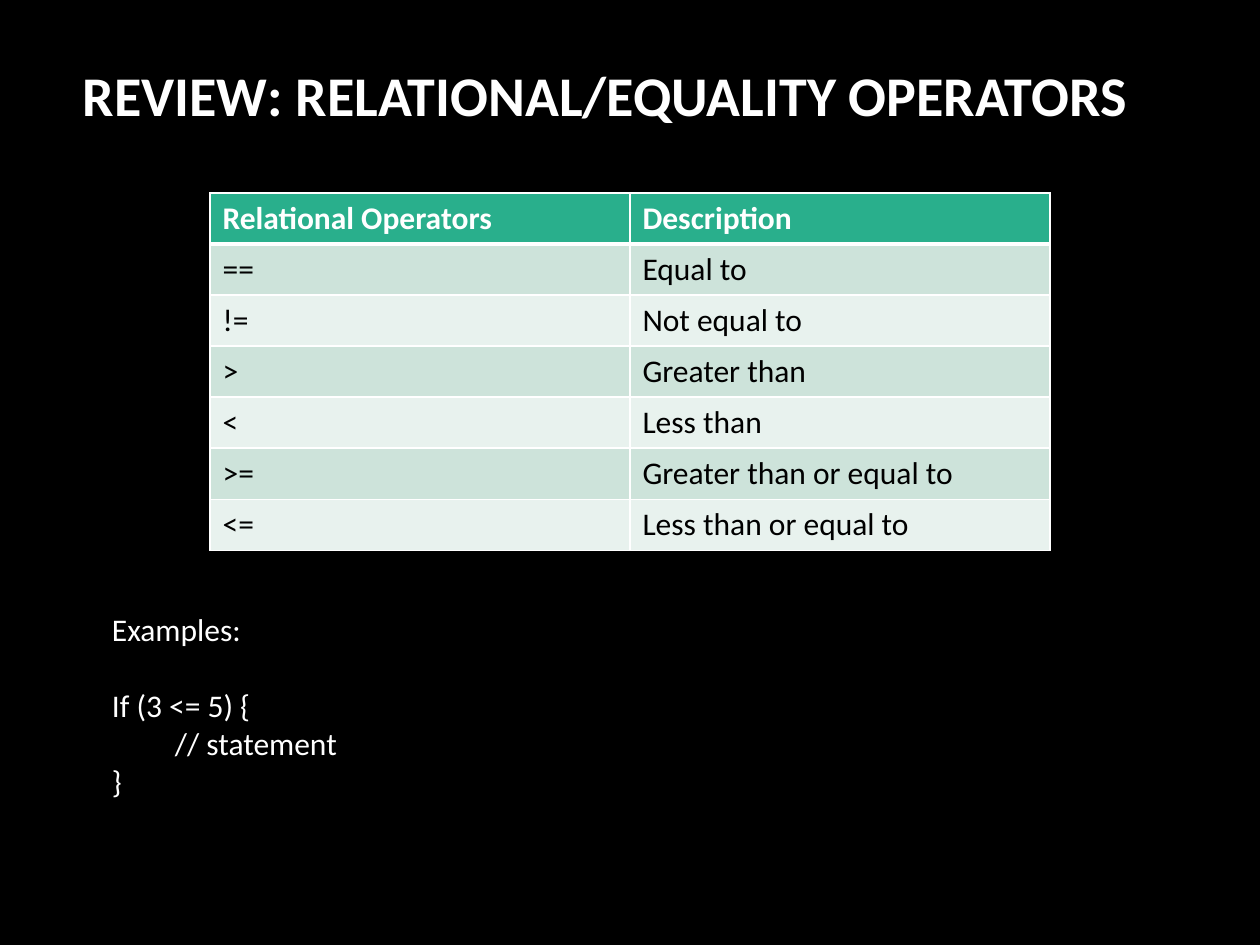
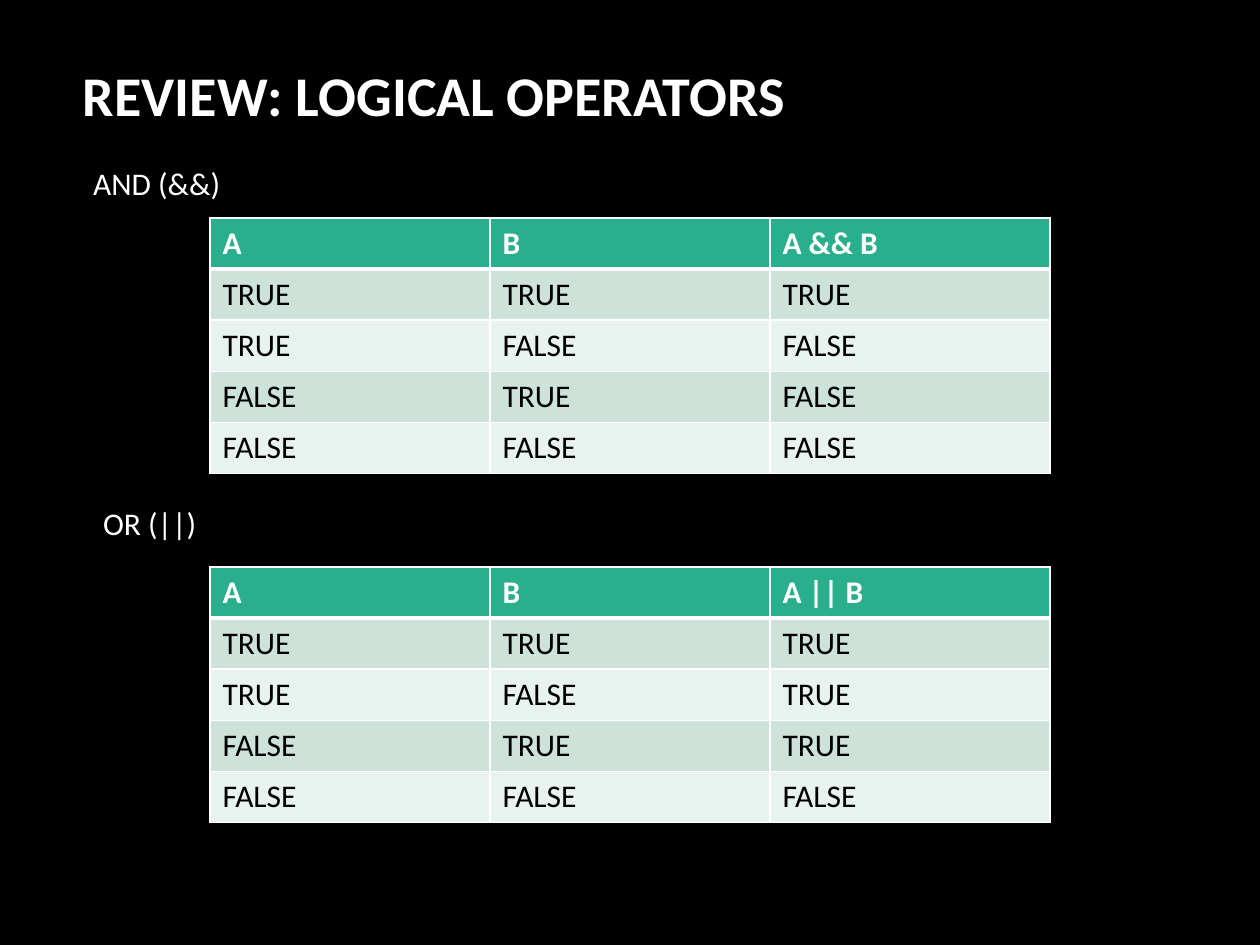
from lxml import etree
from pptx import Presentation
from pptx.dml.color import RGBColor
from pptx.enum.text import MSO_AUTO_SIZE
from pptx.oxml.ns import qn
from pptx.util import Inches, Pt

NO_RESIZE = MSO_AUTO_SIZE.NONE
FONT = "Calibri"
BODY_SIZE, TITLE_SIZE = 18, 32
COLORS = {
    "background": "000000",
    "light": "FFFFFF",
    "dark": "000000",
    "header": "29AF8C",
    "odd_row": "CDE3DA",
    "even_row": "E8F2EE",
}

prs = Presentation()
prs.slide_width, prs.slide_height = Inches(10), Inches(7.5)

# Grid: 12 columns; the tables span the middle 8
COLUMN = prs.slide_width / 12
TABLE_LEFT, TABLE_WIDTH = int(2 * COLUMN), int(8 * COLUMN)
ROW_HEIGHT = Pt(29.2)


def add_text(slide, lines, left, top, width, height, size=BODY_SIZE, bold=False):
    box = slide.shapes.add_textbox(*map(Inches, (left, top, width, height)))
    frame = box.text_frame
    frame.word_wrap = False
    frame.auto_size = NO_RESIZE
    frame.text = "\n".join(lines)
    for paragraph in frame.paragraphs:
        font = paragraph.font
        font.name, font.size, font.bold = FONT, Pt(size), bold
        font.color.rgb = RGBColor.from_string(COLORS["light"])
    return frame.paragraphs


def add_operator_table(slide, rows, top):
    columns = len(rows[0])
    table = slide.shapes.add_table(len(rows), columns, TABLE_LEFT, Inches(top),
                                   TABLE_WIDTH, ROW_HEIGHT * len(rows)).table
    for column in table.columns:
        column.width = TABLE_WIDTH // columns
    for r, values in enumerate(rows):
        table.rows[r].height = ROW_HEIGHT
        is_header = r == 0
        fill = "header" if is_header else "odd_row" if r % 2 else "even_row"
        # The rule under the header is thicker than the other borders
        borders = {"lnL": 1, "lnR": 1, "lnT": 3 if r == 1 else 1,
                   "lnB": 3 if is_header else 1}
        for c, value in enumerate(values):
            cell = table.cell(r, c)
            cell.text = value
            font = cell.text_frame.paragraphs[0].font
            font.name, font.size, font.bold = FONT, Pt(BODY_SIZE), is_header
            font.color.rgb = RGBColor.from_string(
                COLORS["light" if is_header else "dark"])
            properties = cell._tc.get_or_add_tcPr()
            for side, points in borders.items():
                line = etree.SubElement(properties, qn(f"a:{side}"), w=str(Pt(points)))
                solid = etree.SubElement(line, qn("a:solidFill"))
                etree.SubElement(solid, qn("a:srgbClr"), val=COLORS["light"])
            cell.fill.solid()
            cell.fill.fore_color.rgb = RGBColor.from_string(COLORS[fill])


# Slides with their shared background and title
slides = []
for title, title_width in [("REVIEW:\u00a0RELATIONAL/EQUALITY OPERATORS", 8.56),
                           ("REVIEW:\u00a0LOGICAL OPERATORS", 5.82)]:
    slide = prs.slides.add_slide(prs.slide_layouts[6])
    slide.background.fill.solid()
    slide.background.fill.fore_color.rgb = RGBColor.from_string(COLORS["background"])
    add_text(slide, [title], 0.56, 0.43, title_width, 0.64, TITLE_SIZE, True)
    slides.append(slide)
relational, logical = slides

# Relational operators
add_operator_table(relational, [
    ("Relational Operators", "Description"),
    ("==", "Equal to"),
    ("!=", "Not equal to"),
    (">", "Greater than"),
    ("<", "Less than"),
    (">=", "Greater than or equal to"),
    ("<=", "Less than or equal to"),
], 1.53)

# Code example: a line's gap after the heading, the statement indented
heading, condition, statement, closing = add_text(
    relational, ["Examples:", "If (3 <= 5) {", "// statement", "}"],
    0.79, 4.79, 2.02, 1.92)
condition.space_before = Pt(22)
statement._p.get_or_add_pPr().set("marL", str(Inches(0.5)))

# Truth tables, with the result column worked out from A and B
for label, symbol, operation, label_box, table_top in [
    ("AND", "&&", all, (0.64, 1.25, 1.22, 0.4), 1.73),
    ("OR", "||", any, (0.72, 3.95, 0.95, 0.4), 4.5),
]:
    truth_rows = [("A", "B", f"A {symbol} B")]
    for a in (True, False):
        for b in (True, False):
            truth_rows.append([str(v).upper() for v in (a, b, operation((a, b)))])
    add_operator_table(logical, truth_rows, table_top)
    add_text(logical, [f"{label} ({symbol})"], *label_box)

prs.save("out.pptx")
